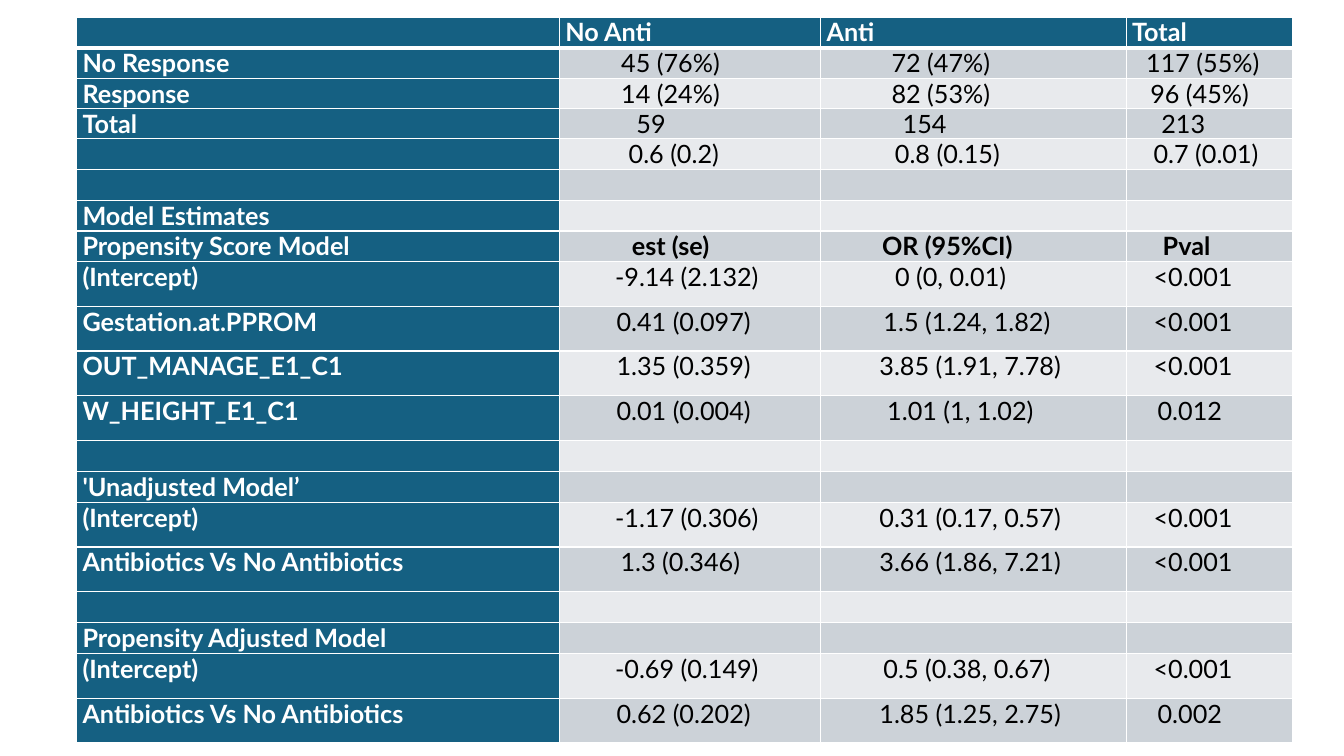
from dataclasses import dataclass

from lxml import etree
from pptx import Presentation
from pptx.dml.color import RGBColor
from pptx.enum.text import PP_ALIGN
from pptx.oxml.ns import qn
from pptx.table import _Cell
from pptx.util import Cm, Pt

LEFT, CENTER = PP_ALIGN.LEFT, PP_ALIGN.CENTER

COLORS = {
    "label": "156082",
    "odd": "CCD2D8",
    "even": "E8EAED",
    "light": "FFFFFF",
    "dark": "000000",
}
FONT, FONT_SIZE = "Lato", Pt(18)
SHORT, TALL = 0.76, 1.13
COLUMN_WIDTHS = (12.17, 6.58, 7.7, 4.19)
# Values are centred in a slot of so many characters at the left of the column.
SLOT_LENGTHS = (14, 18, 11)
CHARACTER_STEP = 0.164
LABEL_INSET, VALUE_INSET = 0.15, 0.18


@dataclass(frozen=True)
class Row:
    label: str = ""
    values: tuple[str, str, str] = ("", "", "")
    height: float = SHORT
    bold: bool = False


ROWS = (
    Row("", ("No Anti", "Anti", "Total"), bold=True),
    Row("No Response", ("45 (76%)", "72 (47%)", "117 (55%)")),
    Row("Response", ("14 (24%)", "82 (53%)", "96 (45%)")),
    Row("Total", ("59", "154", "213")),
    Row("", ("0.6 (0.2)", "0.8 (0.15)", "0.7 (0.01)")),
    Row(),
    Row("Model Estimates"),
    Row("Propensity Score Model", ("est (se)", "OR (95%CI)", "Pval"), bold=True),
    Row("(Intercept)", ("-9.14 (2.132)", "0 (0, 0.01)", "<0.001"), TALL),
    Row("Gestation.at.PPROM", ("0.41 (0.097)", "1.5 (1.24, 1.82)", "<0.001"), TALL),
    Row("OUT_MANAGE_E1_C1", ("1.35 (0.359)", "3.85 (1.91, 7.78)", "<0.001"), TALL),
    Row("W_HEIGHT_E1_C1", ("0.01 (0.004)", "1.01 (1, 1.02)", "0.012"), TALL),
    Row(),
    Row("'Unadjusted Model’"),
    Row("(Intercept)", ("-1.17 (0.306)", "0.31 (0.17, 0.57)", "<0.001"), TALL),
    Row("Antibiotics Vs No Antibiotics", ("1.3 (0.346)", "3.66 (1.86, 7.21)", "<0.001"), TALL),
    Row(),
    Row("Propensity Adjusted Model"),
    Row("(Intercept)", ("-0.69 (0.149)", "0.5 (0.38, 0.67)", "<0.001"), TALL),
    Row("Antibiotics Vs No Antibiotics", ("0.62 (0.202)", "1.85 (1.25, 2.75)", "0.002"), TALL),
)


def add_borders(cell: _Cell, top: float, bottom: float) -> None:
    """Draw white cell borders; must run before the cell is filled."""
    properties = cell._tc.get_or_add_tcPr()
    for side, width in (("L", 1), ("R", 1), ("T", top), ("B", bottom)):
        line = etree.SubElement(properties, qn(f"a:ln{side}"), w=str(Pt(width)))
        fill = etree.SubElement(line, qn("a:solidFill"))
        etree.SubElement(fill, qn("a:srgbClr"), val=COLORS["light"])


def style_cell(cell: _Cell, fill: str, row_index: int) -> None:
    add_borders(cell, 3 if row_index == 1 else 1, 3 if row_index == 0 else 1)
    cell.fill.solid()
    cell.fill.fore_color.rgb = RGBColor.from_string(COLORS[fill])
    cell.margin_top = cell.margin_bottom = 0
    cell.margin_left = cell.margin_right = Cm(LABEL_INSET)


def write_text(cell: _Cell, text: str, color: str, bold: bool, align: PP_ALIGN) -> None:
    para = cell.text_frame.paragraphs[0]
    para.alignment = align
    span = para.add_run()
    span.text = text
    span.font.name = FONT
    span.font.size = FONT_SIZE
    span.font.bold = bold
    span.font.color.rgb = RGBColor.from_string(COLORS[color])


def center_in_slot(cell: _Cell, text: str, slot_length: int) -> None:
    cell.margin_left = Cm(VALUE_INSET)
    cell.margin_right = Cm(VALUE_INSET + (slot_length - len(text)) * CHARACTER_STEP)


def main() -> None:
    deck = Presentation()
    deck.slide_width, deck.slide_height = Cm(33.87), Cm(19.05)
    page = deck.slides.add_slide(deck.slide_layouts[6])
    frame = page.shapes.add_table(
        len(ROWS), len(COLUMN_WIDTHS), Cm(1.93), Cm(0.43),
        Cm(sum(COLUMN_WIDTHS)), Cm(sum(row.height for row in ROWS)),
    )
    table = frame.table
    table.first_col = True
    for column, width in zip(table.columns, COLUMN_WIDTHS):
        column.width = Cm(width)

    for row_index, row in enumerate(ROWS):
        table.rows[row_index].height = Cm(row.height)
        is_header = row_index == 0
        band = "odd" if row_index % 2 else "even"
        for column_index, text in enumerate((row.label, *row.values)):
            cell = table.cell(row_index, column_index)
            is_label = is_header or column_index == 0
            style_cell(cell, "label" if is_label else band, row_index)
            if not text:
                continue
            if is_label:
                write_text(cell, text, "light", True, LEFT)
            else:
                center_in_slot(cell, text, SLOT_LENGTHS[column_index - 1])
                write_text(cell, text, "dark", row.bold, CENTER)

    deck.save("out.pptx")


if __name__ == "__main__":
    main()
